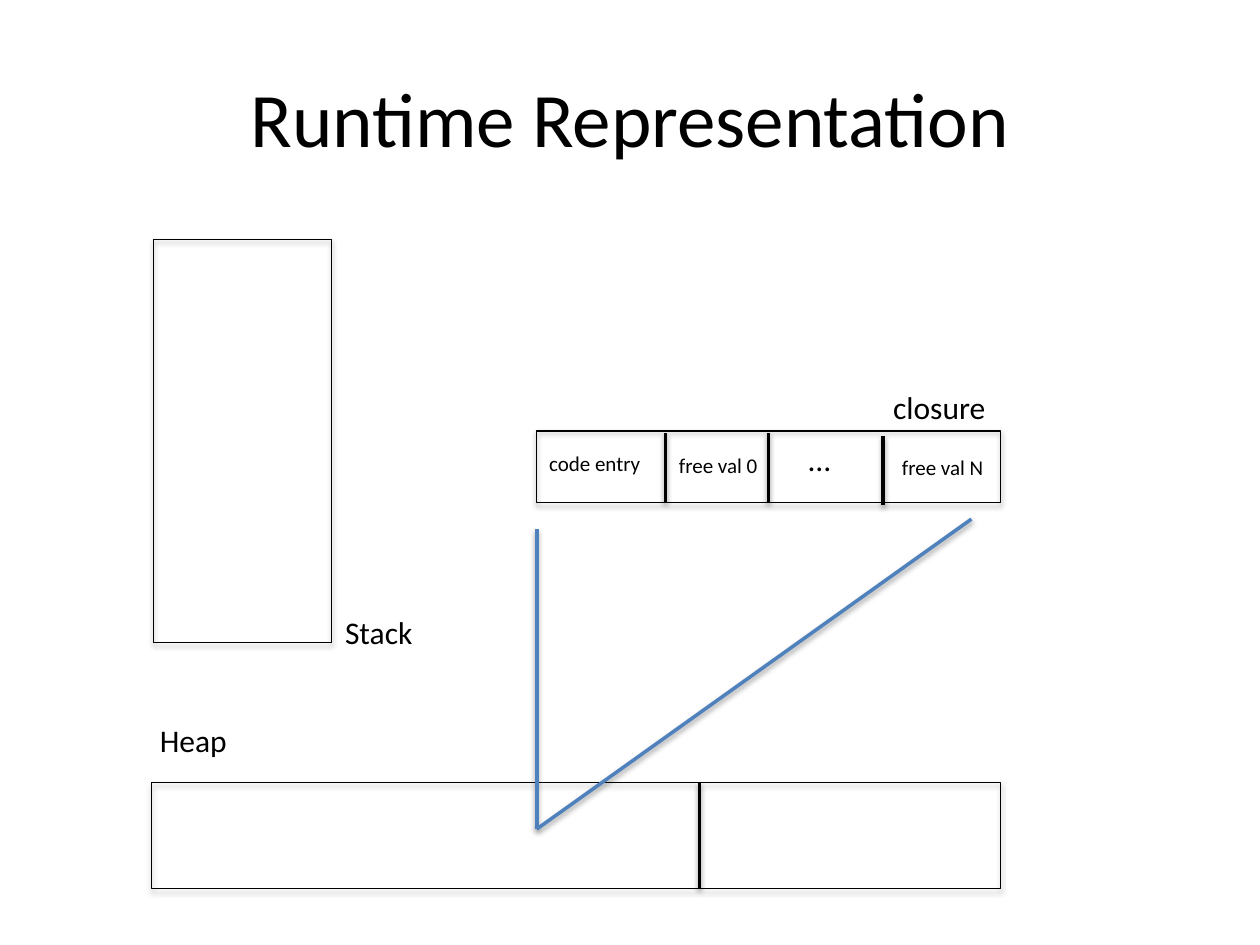
from lxml import etree
from pptx import Presentation
from pptx.dml.color import RGBColor
from pptx.enum import shapes, text
from pptx.oxml import ns
from pptx.util import Inches, Pt

INK = {"black": "000000", "blue": "4F81BD"}


def color(name):
    return RGBColor.from_string(INK[name])


def shade(item, alpha, dist):
    """Give a shape or line a soft shadow that falls straight down."""
    props = item._element.spPr
    fx = etree.SubElement(props, ns.qn("a:effectLst"))
    drop = etree.SubElement(fx, ns.qn("a:outerShdw"), blurRad=str(Pt(3.1)),
                            dist=str(Pt(dist)), dir="5400000", rotWithShape="0")
    tint = etree.SubElement(drop, ns.qn("a:srgbClr"), val=INK["black"])
    etree.SubElement(tint, ns.qn("a:alpha"), val=str(alpha * 1000))


def box(slide, x, y, w, h):
    rect = slide.shapes.add_shape(shapes.MSO_SHAPE.RECTANGLE, Inches(x),
                                  Inches(y), Inches(w), Inches(h))
    rect.fill.background()
    rect.line.color.rgb = color("black")
    rect.line.width = Pt(0.75)
    shade(rect, 35, 1.8)


def line(slide, start, end, tone="black"):
    x1, y1, x2, y2 = (Inches(n) for n in (*start, *end))
    rule = slide.shapes.add_connector(shapes.MSO_CONNECTOR.STRAIGHT,
                                      x1, y1, x2, y2)
    rule.line.color.rgb = color(tone)
    rule.line.width = Pt(2)
    shade(rule, 38, 1.6)


def label(slide, words, x, y, w, h=0.4, size=18, wrap=False):
    area = slide.shapes.add_textbox(Inches(x), Inches(y), Inches(w), Inches(h))
    frame = area.text_frame
    frame.word_wrap = wrap
    frame.auto_size = text.MSO_AUTO_SIZE.SHAPE_TO_FIT_TEXT
    run = frame.paragraphs[0].add_run()
    run.text = words
    run.font.name = "Calibri"
    run.font.size = Pt(size)
    run.font.color.rgb = color("black")
    return frame


def title(slide, words):
    frame = label(slide, words, 0.5, 0.3, 9, 1.25, 44, True)
    frame.auto_size = text.MSO_AUTO_SIZE.NONE
    frame.vertical_anchor = text.MSO_ANCHOR.MIDDLE
    frame.paragraphs[0].alignment = text.PP_ALIGN.CENTER


def main():
    deck = Presentation()
    deck.slide_width, deck.slide_height = Inches(10), Inches(7.5)
    slide = deck.slides.add_slide(deck.slide_layouts[6])
    title(slide, "Runtime Representation")

    # Stack, heap and closure outlines
    box(slide, 1.22, 1.9, 1.41, 3.2)
    box(slide, 1.2, 6.21, 6.74, 0.84)
    box(slide, 4.26, 3.42, 3.68, 0.57)
    label(slide, "Stack", 2.64, 4.82, 0.75)
    label(slide, "closure", 6.99, 3.03, 0.94)
    label(slide, "Heap", 1.17, 5.67, 0.74)

    # Closure fields
    for words, x, y in (("code entry", 4.26, 3.53), ("free val 0", 5.29, 3.54),
                        ("free val N", 7.06, 3.56)):
        label(slide, words, x, y, 0.95, 0.3, 12, True)
    label(slide, "…", 6.32, 3.44, 0.38)

    # Dividers in the closure and the heap
    for x, y, h in ((5.28, 3.44, 0.55), (6.1, 3.44, 0.55),
                    (7.01, 3.46, 0.55), (5.55, 6.21, 0.84)):
        line(slide, (x, y), (x, y + h))

    # Zoom lines from the heap cell to the closure
    for end in ((4.26, 4.2), (7.71, 4.12)):
        line(slide, (4.26, 6.58), end, "blue")

    deck.save("out.pptx")


main()
